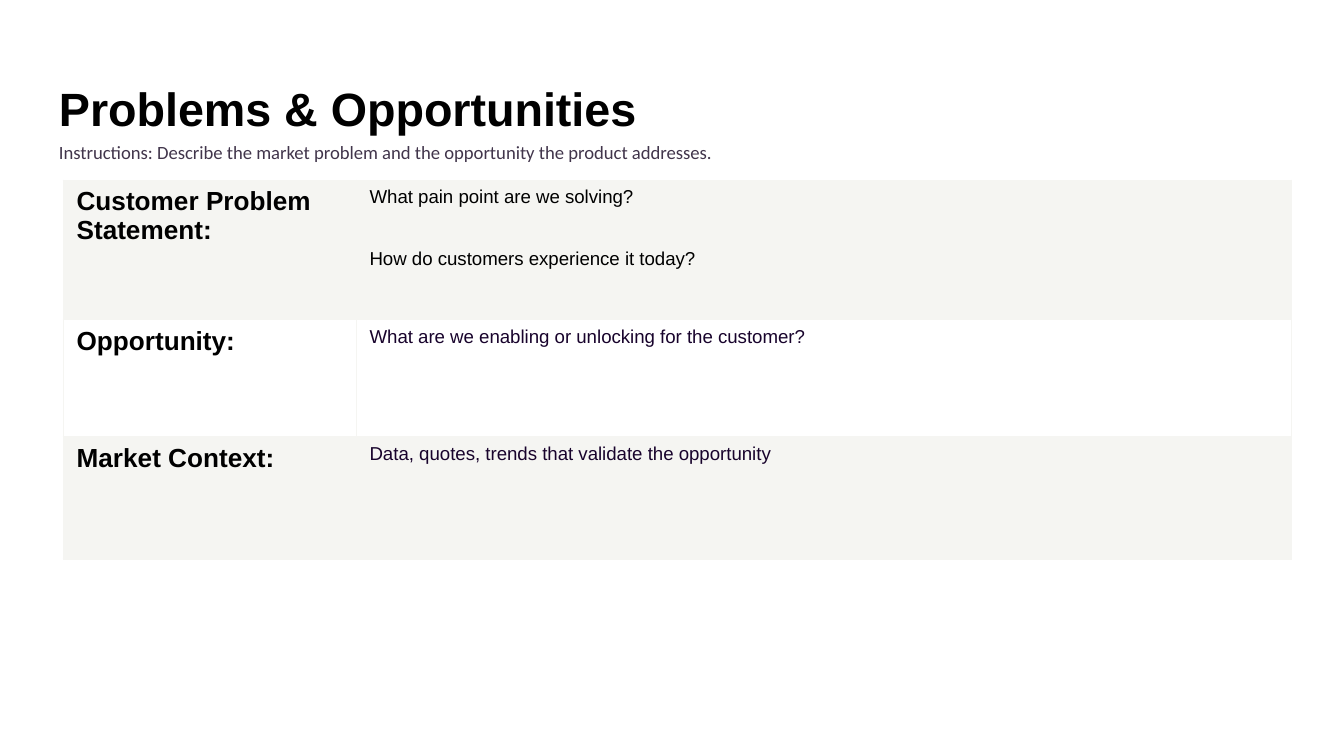
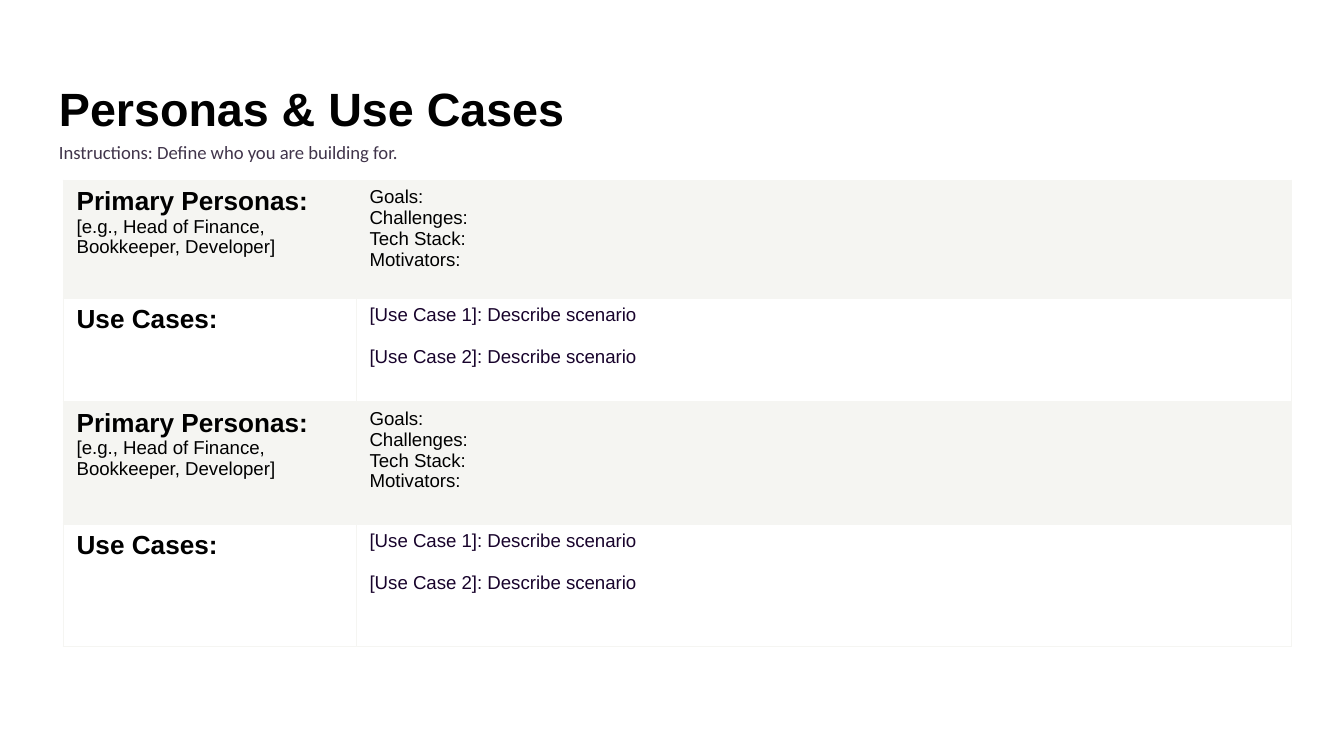
from dataclasses import dataclass

from lxml.etree import SubElement
from pptx import Presentation
from pptx.dml.color import RGBColor as RGB
from pptx.enum.text import MSO_ANCHOR as Anchor
from pptx.oxml.ns import qn
from pptx.util import Inches, Pt


@dataclass(frozen=True)
class Theme:
    black: str = "000000"
    ink: str = "18032C"
    muted: str = "41354B"
    band: str = "F5F5F2"
    white: str = "FFFFFF"
    font: str = "Arial"
    instruction_font: str = "Calibri"
    title_size: int = 25
    heading_size: int = 14
    body_size: int = 10
    border_width: float = 0.75


class Deck:
    def __init__(self, theme):
        self.theme = theme
        self.presentation = Presentation()
        self.presentation.slide_width = Inches(10)
        self.presentation.slide_height = Inches(10) * 9 // 16
        self.slide = None

    def add_slide(self, title, instructions):
        theme = self.theme
        self.slide = self.presentation.slides.add_slide(self.presentation.slide_layouts[6])
        heading = self.text(title, 0.49, 8.59, 0.63, Anchor.MIDDLE)
        self.style(heading.runs, theme.title_size, theme.black, bold=True)
        guidance = self.text(instructions, 0.93, 9.27, 0.37, Anchor.TOP)
        guidance.line_spacing = 1.15
        self.style(guidance.runs, theme.body_size, theme.muted, font=theme.instruction_font)

    def text(self, wording, top, width, height, anchor):
        frame = self.slide.shapes.add_textbox(
            Inches(0.34), Inches(top), Inches(width), Inches(height)
        ).text_frame
        frame.word_wrap = True
        frame.vertical_anchor = anchor
        frame.margin_left = frame.margin_right = Inches(0.1)
        frame.margin_top = frame.margin_bottom = Inches(0.1)
        frame.text = wording
        return frame.paragraphs[0]

    def style(self, runs, size, color, bold=False, font=None):
        for run in runs:
            run.font.name = font or self.theme.font
            run.font.size = Pt(size)
            run.font.bold = bold
            run.font.color.rgb = RGB.from_string(color)

    def table(self, sections, heights):
        theme = self.theme
        widths = (2.18, 6.96)
        table = self.slide.shapes.add_table(
            len(sections), len(widths), Inches(0.47), Inches(1.34),
            Inches(sum(widths)), Inches(sum(heights)),
        ).table
        table.first_row = table.horz_banding = False
        for column, width in zip(table.columns, widths):
            column.width = Inches(width)
        for index, (section, height) in enumerate(zip(sections, heights)):
            label, prompts, color, gap = section
            row = table.rows[index]
            row.height = Inches(height)
            fill = theme.white if index % 2 else theme.band
            label_cell, prompt_cell = row.cells
            self.label(self.fill(label_cell, label, fill)[0])
            for position, prompt in enumerate(self.fill(prompt_cell, "\n".join(prompts), fill)):
                self.style(prompt.runs, theme.body_size, color)
                if position and gap:
                    prompt.space_before = Pt(gap)

    def fill(self, cell, wording, color):
        self.border(cell)
        cell.fill.solid()
        cell.fill.fore_color.rgb = RGB.from_string(color)
        cell.text_frame.text = wording
        return cell.text_frame.paragraphs

    def label(self, paragraph):
        theme = self.theme
        self.style(paragraph.runs[:1], theme.heading_size, theme.black, bold=True)
        self.style(paragraph.runs[1:], theme.body_size, theme.black)
        for line_break in paragraph._p.findall(qn("a:br")):
            SubElement(line_break, qn("a:rPr"), sz=str(theme.heading_size * 100))

    def border(self, cell):
        properties = cell._tc.get_or_add_tcPr()
        for side in ("a:lnL", "a:lnR", "a:lnT", "a:lnB"):
            line = SubElement(properties, qn(side), w=str(Pt(self.theme.border_width)))
            SubElement(SubElement(line, qn("a:solidFill")), qn("a:srgbClr"), val=self.theme.band)

    def save(self):
        self.presentation.save("out.pptx")


def main():
    theme = Theme()
    deck = Deck(theme)

    deck.add_slide(
        "Problems & Opportunities",
        "Instructions: Describe the market problem and the opportunity the product addresses.",
    )
    deck.table(
        [
            ("Customer Problem Statement:",
             ["What pain point are we solving?", "How do customers experience it today?"],
             theme.black, 22),
            ("Opportunity:",
             ["What are we enabling or unlocking for the customer?"], theme.ink, 0),
            ("Market Context:",
             ["Data, quotes, trends that validate the opportunity"], theme.ink, 0),
        ],
        (1.04, 0.87, 0.91),
    )

    deck.add_slide("Personas & Use Cases", "Instructions: Define who you are building for.")
    personas = (
        "Primary Personas:\v[e.g., Head of Finance, Bookkeeper, Developer]",
        ["Goals:", "Challenges:", "Tech Stack:", "Motivators:"],
        theme.black, 0,
    )
    use_cases = (
        "Use Cases:",
        [f"[Use Case {number}]: Describe scenario" for number in (1, 2)],
        theme.ink, 11,
    )
    deck.table([personas, use_cases] * 2, (0.88, 0.77, 0.91, 0.91))

    deck.save()


if __name__ == "__main__":
    main()
